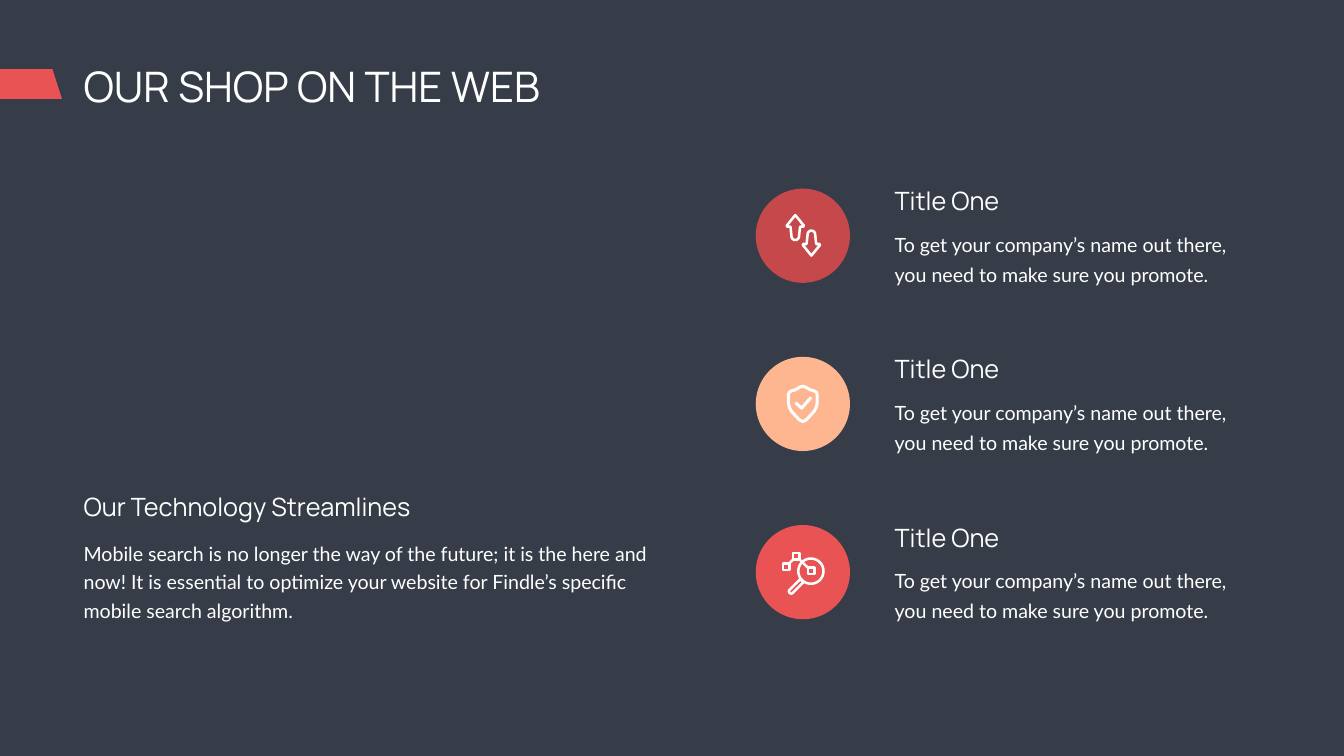
"""Build the "Our shop on the web" slide with three badge items."""
from dataclasses import dataclass
from math import cos, radians, sin
from typing import Optional

from pptx import Presentation
from pptx.dml.color import RGBColor
from pptx.enum.shapes import MSO_SHAPE
from pptx.enum.text import MSO_AUTO_SIZE
from pptx.util import Inches, Length, Pt

WIDTH, HEIGHT = Inches(26.66), Inches(15)
COLUMN, ROW = WIDTH / 100, HEIGHT / 100
ICON_UNIT = Inches(0.01)
ITEM_TOP, ITEM_PITCH = 24.2, 22.25
BADGE_LEFT, BADGE_DROP, BADGE_SIZE = 56.23, 0.75, 7.01
TEXT_LEFT, ITEM_LEFT, WIDE = 5.85, 66.2, 44.15

SLATE = RGBColor(0x36, 0x3D, 0x48)
WHITE = RGBColor(0xFF, 0xFF, 0xFF)
CORAL = RGBColor(0xE9, 0x53, 0x54)
BRICK = RGBColor(0xC5, 0x49, 0x4B)
PEACH = RGBColor(0xFE, 0xB6, 0x91)

HEADING = {"name": "Manrope", "size": Pt(60)}
SUBHEADING = {"name": "Manrope", "size": Pt(36)}
BODY = {"name": "Lato", "size": Pt(28)}

Points = list[tuple[float, float]]


@dataclass(frozen=True)
class Label:
    text: str
    left: float
    top: float
    width: float
    height: float
    font: dict
    line_spacing: Optional[Length] = None


@dataclass(frozen=True)
class Stroke:
    points: Points
    closed: bool = True


@dataclass(frozen=True)
class Icon:
    strokes: list[Stroke]
    weight: float = 3.6


@dataclass(frozen=True)
class Item:
    color: RGBColor
    icons: list[Icon]


def arc(x: float, y: float, radius: float, start: int, end: int) -> Points:
    """Return points along an arc, with angles in degrees."""
    step = 10 if end > start else -10
    return [(x + radius * cos(radians(angle)), y + radius * sin(radians(angle)))
            for angle in range(start, end + step, step)]


def square(x: float, y: float, half: float = 6.5) -> Stroke:
    """Return a square outline around a centre."""
    return Stroke([(x - half, y - half), (x + half, y - half),
                   (x + half, y + half), (x - half, y + half)])


def arrow(x: float, y: float, direction: int) -> Icon:
    """Return an arrow that points up (1) or down (-1)."""
    outline = [(0, -25), (17, -4), (16, -2), (9.5, -2),
               *arc(0, 17, 7.5, 0, 180), (-9.5, -2), (-16, -2), (-17, -4)]
    return Icon([Stroke([(x + direction * dx, y + direction * dy) for dx, dy in outline])])


SHIELD_HALF = [(0, -35), (4, -34), (8, -32), (15, -28), (23, -25.5), (27, -23),
               (28.5, -19), (28.5, -2), (27, 6), (23, 14), (14, 24), (7, 31.5), (0, 35)]
SHIELD = Icon([Stroke(SHIELD_HALF + [(-x, y) for x, y in SHIELD_HALF[-2:0:-1]])], 4.3)
CHECK = Icon([Stroke([(-14.5, -2.5), (-2.5, 8.5), (16.5, -13)], False)], 4.3)
MAGNIFIER = Icon([
    Stroke(arc(16, -2, 25, 0, 350)),
    square(16.5, -2.5), square(-13, -31.5), square(-33, -11),
    Stroke([(-27, -17.5), (-19, -25)], False),
    Stroke([(-7, -25.5), (11, -8)], False),
    Stroke([(-5, 14), *arc(-23, 38, 4.5, 220, 40), (1, 20)]),
])
ITEMS = [
    Item(BRICK, [arrow(-15, -16, 1), arrow(17, 14.5, -1)]),
    Item(PEACH, [SHIELD, CHECK]),
    Item(CORAL, [MAGNIFIER]),
]
INTRODUCTION = [
    Label("OUR SHOP ON THE WEB", TEXT_LEFT, 7.73, WIDE, 7.4, HEADING),
    Label("Our Technology Streamlines", TEXT_LEFT, 64.93, 27.76, 4.53, SUBHEADING, Pt(40.8)),
    Label("Mobile search is no longer the way of the future; it is the here and now! "
          "It is essential to optimize your website for Findle’s specific mobile search "
          "algorithm.", TEXT_LEFT, 70.67, WIDE, 11.8, BODY, Pt(40.8)),
]


def draw_label(slide, label: Label) -> None:
    """Draw one text box."""
    box = slide.shapes.add_textbox(
        int(label.left * COLUMN), int(label.top * ROW),
        int(label.width * COLUMN), int(label.height * ROW))
    frame = box.text_frame
    frame.word_wrap = True
    frame.auto_size = MSO_AUTO_SIZE.SHAPE_TO_FIT_TEXT
    paragraph = frame.paragraphs[0]
    paragraph.line_spacing = label.line_spacing
    run = paragraph.add_run()
    run.text = label.text
    for attribute, value in label.font.items():
        setattr(run.font, attribute, value)
    run.font.color.rgb = WHITE


def paint(shape, color: RGBColor) -> None:
    """Give a shape a plain fill without outline or shadow."""
    shape.shadow.inherit = False
    shape.fill.solid()
    shape.fill.fore_color.rgb = color
    shape.line.fill.background()


def draw_flag(slide) -> None:
    """Draw the slanted flag beside the heading."""
    top, bottom = 9.13 * ROW, 13.07 * ROW
    builder = slide.shapes.build_freeform(0, top)
    builder.add_line_segments([(3.9 * COLUMN, top), (4.61 * COLUMN, bottom), (0, bottom)])
    paint(builder.convert_to_shape(), CORAL)


def draw_icon(slide, icon: Icon, center_x: int, center_y: int) -> None:
    """Draw an outlined icon around a centre."""
    builder = None
    for stroke in icon.strokes:
        first, *rest = [(x * ICON_UNIT, y * ICON_UNIT) for x, y in stroke.points]
        if builder is None:
            builder = slide.shapes.build_freeform(*first)
        else:
            builder.move_to(*first)
        builder.add_line_segments(rest, close=stroke.closed)
    shape = builder.convert_to_shape(center_x, center_y)
    shape.shadow.inherit = False
    shape.fill.background()
    shape.line.color.rgb = WHITE
    shape.line.width = Pt(icon.weight)


def draw_item(slide, item: Item, top: float) -> None:
    """Draw a badge with its icon, title and text."""
    size = int(BADGE_SIZE * COLUMN)
    left, badge_top = int(BADGE_LEFT * COLUMN), int((top + BADGE_DROP) * ROW)
    paint(slide.shapes.add_shape(MSO_SHAPE.OVAL, left, badge_top, size, size), item.color)
    for icon in item.icons:
        draw_icon(slide, icon, left + size // 2, badge_top + size // 2)
    draw_label(slide, Label("Title One", ITEM_LEFT, top, 19.5, 4.73, SUBHEADING))
    draw_label(slide, Label(
        "To get your company’s name out there, you need to make sure you promote.",
        ITEM_LEFT, top + 5.4, 27.94, 8.33, BODY, Pt(43)))


def main() -> None:
    """Build and save the presentation."""
    presentation = Presentation()
    presentation.slide_width, presentation.slide_height = WIDTH, HEIGHT
    slide = presentation.slides.add_slide(presentation.slide_layouts[6])
    slide.background.fill.solid()
    slide.background.fill.fore_color.rgb = SLATE
    draw_flag(slide)
    for label in INTRODUCTION:
        draw_label(slide, label)
    for index, item in enumerate(ITEMS):
        draw_item(slide, item, ITEM_TOP + index * ITEM_PITCH)
    presentation.save("out.pptx")


if __name__ == "__main__":
    main()
